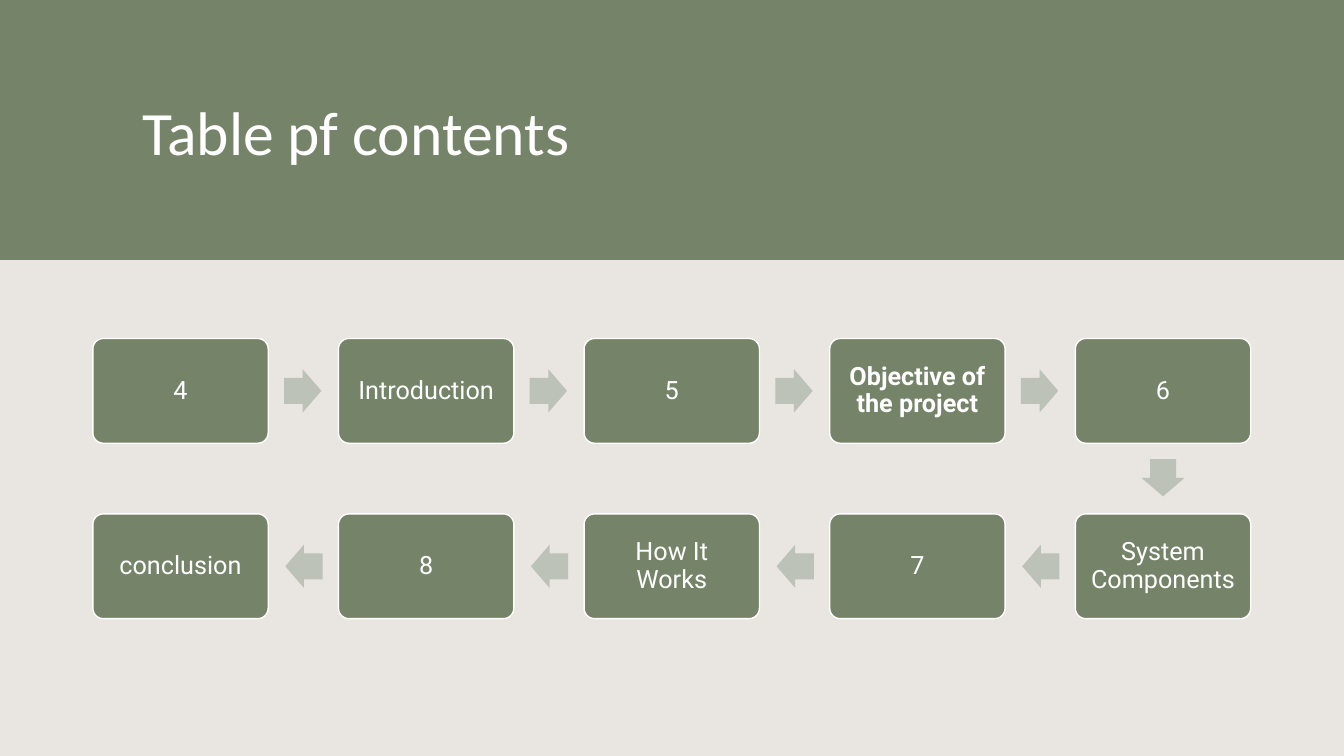
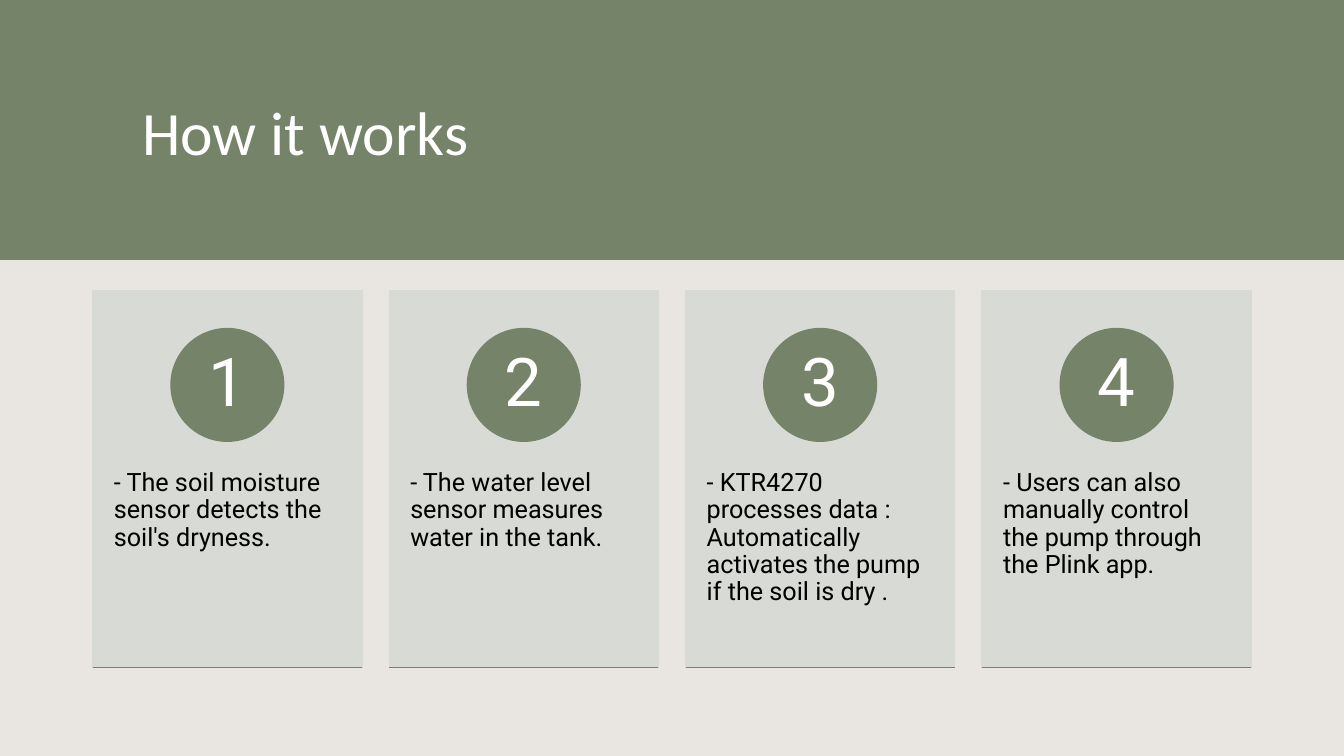
from pptx import Presentation
from pptx import util as u
from pptx.dml.color import RGBColor
from pptx.enum import shapes, text
from pptx.oxml.ns import qn

GREEN, SAND, CARD, ARROW = "758468", "E9E5E1", "D8DAD5", "BDC2B9"
WHITE, BLACK = "FFFFFF", "000000"
LEFT = 2.34


def rgb(value):
    return RGBColor.from_string(value)


def set_all(target, values):
    for name, value in values.items():
        setattr(target, name, value)


def margins(left, top, right, bottom):
    sides = ("left", "top", "right", "bottom")
    return {f"margin_{side}": u.Cm(size) for side, size in zip(sides, (left, top, right, bottom))}


def text_style(font, size, color, align, anchor, insets, spacing=0.9, wrap=True):
    return {
        "frame": {"word_wrap": wrap, "vertical_anchor": anchor, **margins(*insets)},
        "para": {"alignment": align, "line_spacing": spacing},
        "font": {"name": font, "size": u.Pt(size)},
        "color": color,
    }


ALIGN, ANCHOR = text.PP_ALIGN, text.MSO_ANCHOR
TITLE = text_style("Calibri", 44, WHITE, ALIGN.LEFT, ANCHOR.MIDDLE, (0.25, 0.13, 0.25, 0.13), 1.0)
STEP = text_style("Roboto", 18, WHITE, ALIGN.CENTER, ANCHOR.MIDDLE, (0.25, 0.25, 0.25, 0.25))
BODY = text_style("Roboto", 18, BLACK, ALIGN.LEFT, ANCHOR.TOP, (0.53, 4.52, 0.53, 0.9))
NUMBER = text_style("Roboto", 48, WHITE, ALIGN.CENTER, ANCHOR.MIDDLE, (0, 0, 0, 0), wrap=False)


class SlideBuilder:
    def __init__(self):
        self.deck = Presentation()
        self.deck.slide_width, self.deck.slide_height = u.Cm(33.87), u.Cm(19.05)
        fill = self.deck.slide_master.background.fill
        fill.solid()
        fill.fore_color.rgb = rgb(SAND)
        self.page = None

    def new_page(self, title):
        self.page = self.deck.slides.add_slide(self.deck.slide_layouts[6])
        self.shape("RECTANGLE", (0, 0, 33.87, 6.55), GREEN)
        box = self.page.shapes.add_textbox(*map(u.Cm, (3.33, 1.07, 27.79, 4.45)))
        self.label(box, title, TITLE)

    def shape(self, kind, place, fill, line=None):
        box = self.page.shapes.add_shape(shapes.MSO_SHAPE[kind], *map(u.Cm, place))
        box.shadow.inherit = False
        box.fill.solid()
        box.fill.fore_color.rgb = rgb(fill)
        if line:
            box.line.color.rgb = rgb(line)
            box.line.width = u.Pt(1)
        else:
            box.line.fill.background()
        return box

    def label(self, box, words, style, bold=False):
        frame = box.text_frame
        set_all(frame, style["frame"])
        para = frame.paragraphs[0]
        set_all(para, style["para"])
        span = para.add_run()
        span.text = words
        set_all(span.font, {**style["font"], "bold": bold})
        span.font.color.rgb = rgb(style["color"])

    def arrow(self, center_x, center_y, turn):
        width, height = 0.94, 1.09
        place = (center_x - width / 2, center_y - height / 2, width, height)
        arrow = self.shape("RIGHT_ARROW", place, ARROW)
        arrow.adjustments[0] = 0.6
        arrow.rotation = turn

    def rule(self, left, top, width):
        ends = map(u.Cm, (left, top, left + width, top))
        line = self.page.shapes.add_connector(shapes.MSO_CONNECTOR.STRAIGHT, *ends)
        line.line.color.rgb = rgb(GREEN)
        line.line.width = u.Pt(1)
        properties = line._element.spPr
        properties.append(properties.makeelement(qn("a:effectLst"), {}))

    def flow(self, steps, columns, bold_steps):
        width, height, pitch_x, pitch_y = 4.42, 2.64, 6.19, 4.42
        reach = 0.4 + 0.94 / 2
        for index, words in enumerate(steps):
            row, column = divmod(index, columns)
            backward = row % 2 == 1
            last_in_row = column == columns - 1
            if backward:
                column = columns - 1 - column
            left, top = LEFT + column * pitch_x, 8.53 + row * pitch_y
            box = self.shape("ROUNDED_RECTANGLE", (left, top, width, height), GREEN, WHITE)
            box.adjustments[0] = 0.1
            self.label(box, words, STEP, words in bold_steps)
            if index == len(steps) - 1:
                break
            center_x, center_y = left + width / 2, top + height / 2
            if last_in_row:
                self.arrow(center_x, center_y + height / 2 + reach, 90)
            elif backward:
                self.arrow(center_x - width / 2 - reach, center_y, 180)
            else:
                self.arrow(center_x + width / 2 + reach, center_y, 0)

    def cards(self, notes):
        top, width, height, pitch, circle = 7.32, 6.78, 9.5, 7.47, 2.84
        for index, words in enumerate(notes):
            left = LEFT + index * pitch
            card = self.shape("RECTANGLE", (left, top, width, height), CARD, CARD)
            self.label(card, words, BODY)
            place = (left + (width - circle) / 2, top + 0.96, circle, circle)
            badge = self.shape("OVAL", place, GREEN, GREEN)
            self.label(badge, str(index + 1), NUMBER)
            self.rule(left, top + height, width)


def main():
    builder = SlideBuilder()

    builder.new_page("Table pf contents")
    objective = "Objective of the project"
    steps = ["4", "Introduction", "5", objective, "6",
             "System Components ", "7", "How It Works", "8", "conclusion"]
    builder.flow(steps, 5, {objective})

    builder.new_page("How it works")
    builder.cards([
        "- The soil moisture sensor detects the soil's dryness.",
        "- The water level sensor measures water in the tank.",
        "- KTR4270 processes data : Automatically activates the pump if the soil is dry .",
        "- Users can also manually control the pump through the Plink app.",
    ])

    builder.deck.save("out.pptx")


if __name__ == "__main__":
    main()
